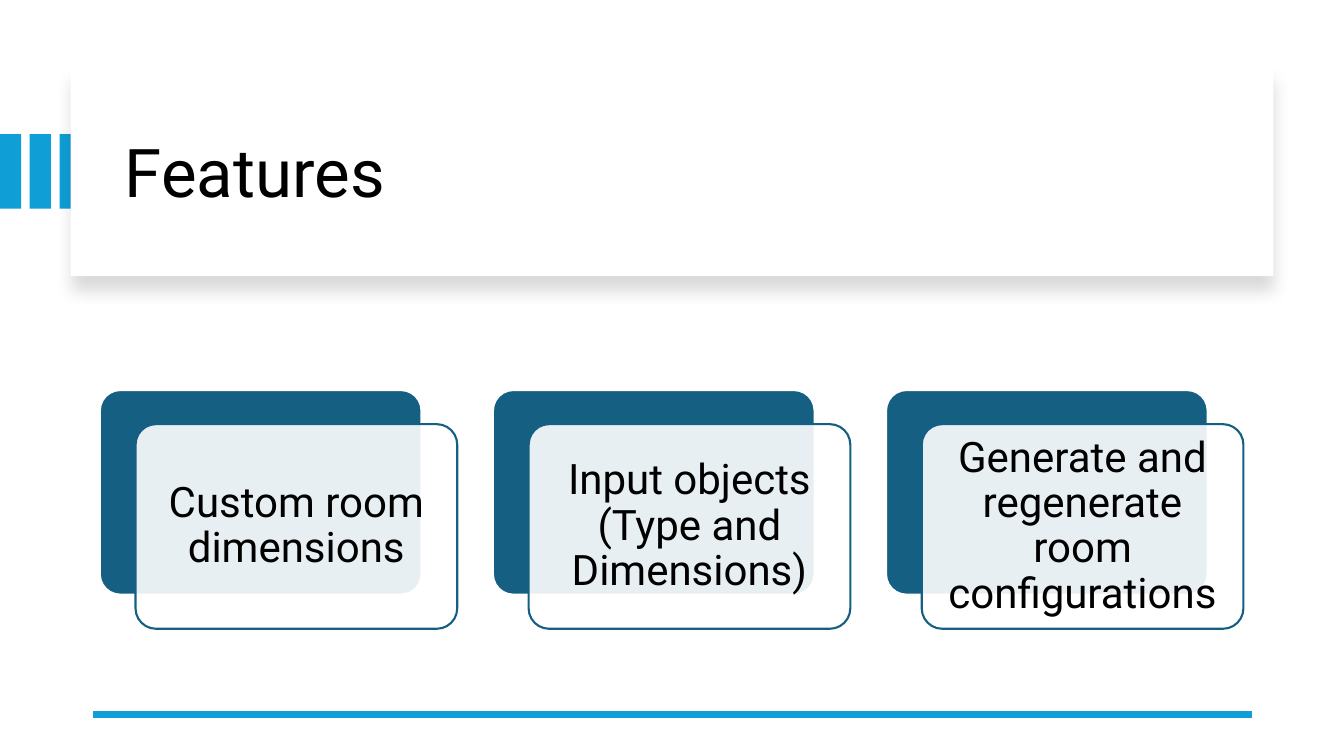
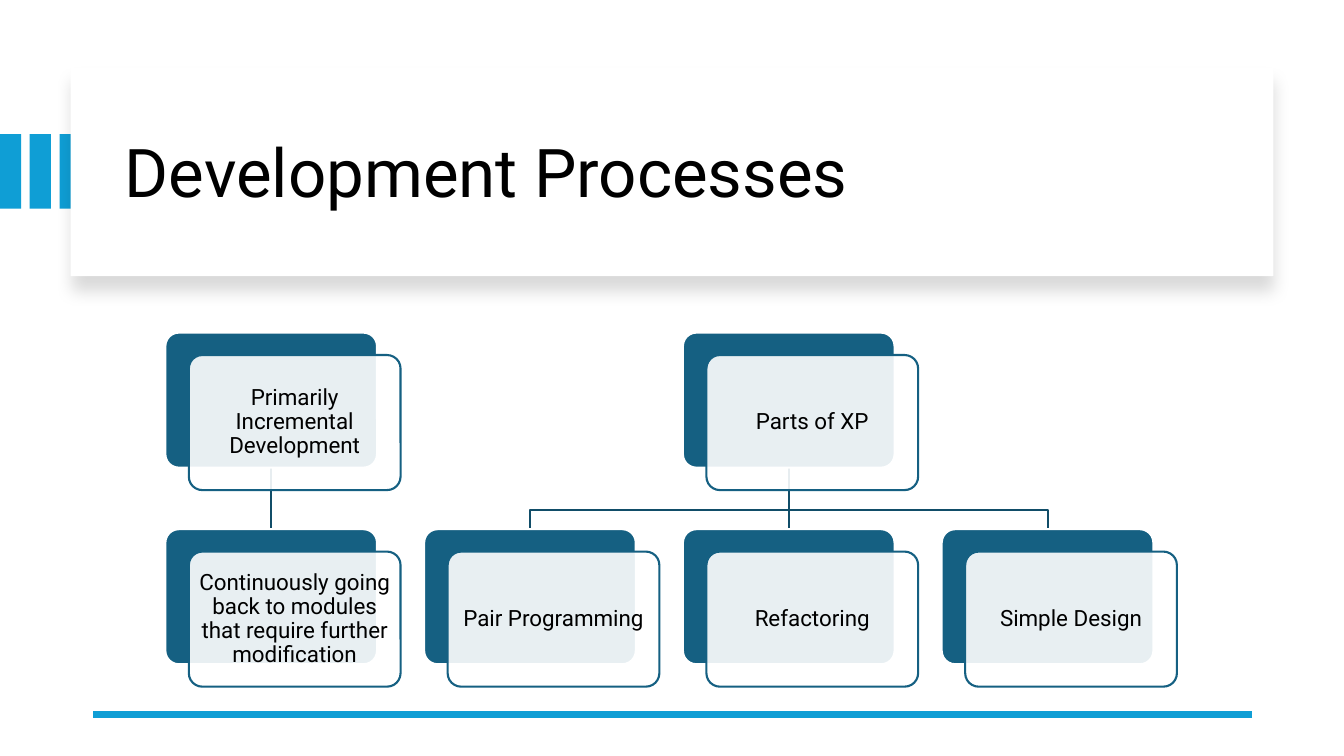
from lxml import etree
from pptx import Presentation
from pptx.dml.color import RGBColor
from pptx.enum.shapes import MSO_CONNECTOR as Connector, MSO_SHAPE as Preset
from pptx.enum.text import MSO_ANCHOR as Anchor, PP_ALIGN as Align
from pptx.oxml.ns import qn
from pptx.util import Inches, Pt

COLORS = {
    "accent": "0F9ED5",
    "card": "156082",
    "branch": "114D68",
    "paper": "FFFFFF",
    "ink": "000000",
}
FONT = "Roboto"


def color(name):
    return RGBColor.from_string(COLORS[name])


def write_text(shape, text, size, align=Align.LEFT, inset=(0.1, 0.05)):
    """Put one middle-anchored paragraph into a shape."""
    frame = shape.text_frame
    frame.word_wrap = True
    frame.vertical_anchor = Anchor.MIDDLE
    frame.margin_left = frame.margin_right = Inches(inset[0])
    frame.margin_top = frame.margin_bottom = Inches(inset[1])
    paragraph = frame.paragraphs[0]
    paragraph.alignment = align
    paragraph.line_spacing = 0.9
    run = paragraph.add_run()
    run.text = text
    run.font.name = FONT
    run.font.size = Pt(size)
    run.font.color.rgb = color("ink")


class Deck:
    def __init__(self):
        self.presentation = Presentation()
        self.presentation.slide_width = Inches(13.33)
        self.presentation.slide_height = Inches(7.5)
        self.slide = None

    def new_slide(self, title):
        """Start a slide with its stripes, title panel and footer rule."""
        blank = self.presentation.slide_layouts[6]
        self.slide = self.presentation.slides.add_slide(blank)
        for index in range(3):
            self.box(0.59 * index / 2, 1.33, 0.21, 0.74, fill="accent")
        panel = self.box(0.7, 0.67, 11.93, 2.07, fill="paper")
        self.drop_shadow(panel)
        title_box = self.slide.shapes.add_textbox(
            Inches(1.14), Inches(0.89), Inches(11.13), Inches(1.7))
        write_text(title_box, title, size=48)
        self.line((12.42, 7.09), (0.92, 7.09), "accent", 4.5)

    def box(self, left, top, width, height, fill, line=None, opacity=None,
            preset=Preset.RECTANGLE):
        shape = self.slide.shapes.add_shape(
            preset, Inches(left), Inches(top), Inches(width), Inches(height))
        shape.shadow.inherit = False
        shape.fill.solid()
        shape.fill.fore_color.rgb = color(fill)
        if opacity is not None:
            fill_color = shape.fill._xPr.find(qn("a:solidFill"))[0]
            etree.SubElement(fill_color, qn("a:alpha"), val=str(opacity * 1000))
        if line:
            shape.line.color.rgb = color(line)
            shape.line.width = Pt(1.5)
        else:
            shape.line.fill.background()
        if preset == Preset.ROUNDED_RECTANGLE:
            shape.adjustments[0] = 0.1
        return shape

    def drop_shadow(self, shape):
        effects = shape._element.spPr.find(qn("a:effectLst"))
        shadow = etree.SubElement(
            effects, qn("a:outerShdw"), blurRad=str(Pt(11)), dist=str(Pt(10)),
            dir="5400000", algn="t", rotWithShape="0")
        tint = etree.SubElement(shadow, qn("a:srgbClr"), val=COLORS["ink"])
        etree.SubElement(tint, qn("a:alpha"), val="15000")

    def line(self, start, end, line_color, width):
        points = [Inches(value) for value in (*start, *end)]
        connector = self.slide.shapes.add_connector(Connector.STRAIGHT, *points)
        connector.line.color.rgb = color(line_color)
        connector.line.width = Pt(width)
        etree.SubElement(connector._element.spPr, qn("a:effectLst"))

    def branch(self, start, end, bend_y):
        """Join parent to child, stepping sideways at bend_y if needed."""
        if start[0] == end[0]:
            self.line(start, end, "branch", 1.5)
            return
        corners = [(start[0], bend_y), (end[0], bend_y), end]
        builder = self.slide.shapes.build_freeform(
            Inches(start[0]), Inches(start[1]))
        builder.add_line_segments(
            [(Inches(x), Inches(y)) for x, y in corners], close=False)
        shape = builder.convert_to_shape()
        shape.shadow.inherit = False
        shape.fill.background()
        shape.line.color.rgb = color("branch")
        shape.line.width = Pt(1.5)

    def card(self, text, left, top, width, height, size):
        """A dark card with a translucent text card offset over it."""
        rounded = Preset.ROUNDED_RECTANGLE
        self.box(left, top, width, height, "card", "paper", preset=rounded)
        front = self.box(left + width / 9, top + width * 0.106, width, height,
                         "paper", "card", opacity=90, preset=rounded)
        inset = size * 0.004
        write_text(front, text, size=size, align=Align.CENTER,
                   inset=(inset, inset))


def column_left(first, width, column):
    """Left edge of a card: columns are two offsets (2/9 width) apart."""
    return first + column * width * 11 / 9


def build_features(deck):
    deck.new_slide("Features")
    features = [
        "Custom room dimensions",
        "Input objects (Type and Dimensions)",
        "Generate and regenerate room configurations",
    ]
    width, height = 3.19, 2.03
    for column, text in enumerate(features):
        left = column_left(0.99, width, column)
        deck.card(text, left, 3.87, width, height, size=30)


def build_processes(deck):
    deck.new_slide("Development Processes")
    width, height = 2.1, 1.34
    parent_top, child_top = 3.3, 5.25
    # Parent column -> parent text and its children by column
    tree = {
        0: ("Primarily Incremental Development", {
            0: "Continuously going back to modules that require further "
               "modification"}),
        2: ("Parts of XP", {
            1: "Pair Programming", 2: "Refactoring", 3: "Simple Design"}),
    }
    lefts = [column_left(1.64, width, column) for column in range(4)]

    # Branches lie behind the cards
    for parent, (_, children) in tree.items():
        start = (lefts[parent] + width / 2, parent_top + height)
        for child in children:
            end = (lefts[child] + width / 2, child_top)
            deck.branch(start, end, bend_y=5.06)

    # Cards
    for parent, (text, children) in tree.items():
        deck.card(text, lefts[parent], parent_top, width, height, size=16)
        for child, child_text in children.items():
            deck.card(child_text, lefts[child], child_top, width, height,
                      size=16)


def main():
    deck = Deck()
    build_features(deck)
    build_processes(deck)
    deck.presentation.save("out.pptx")


if __name__ == "__main__":
    main()
